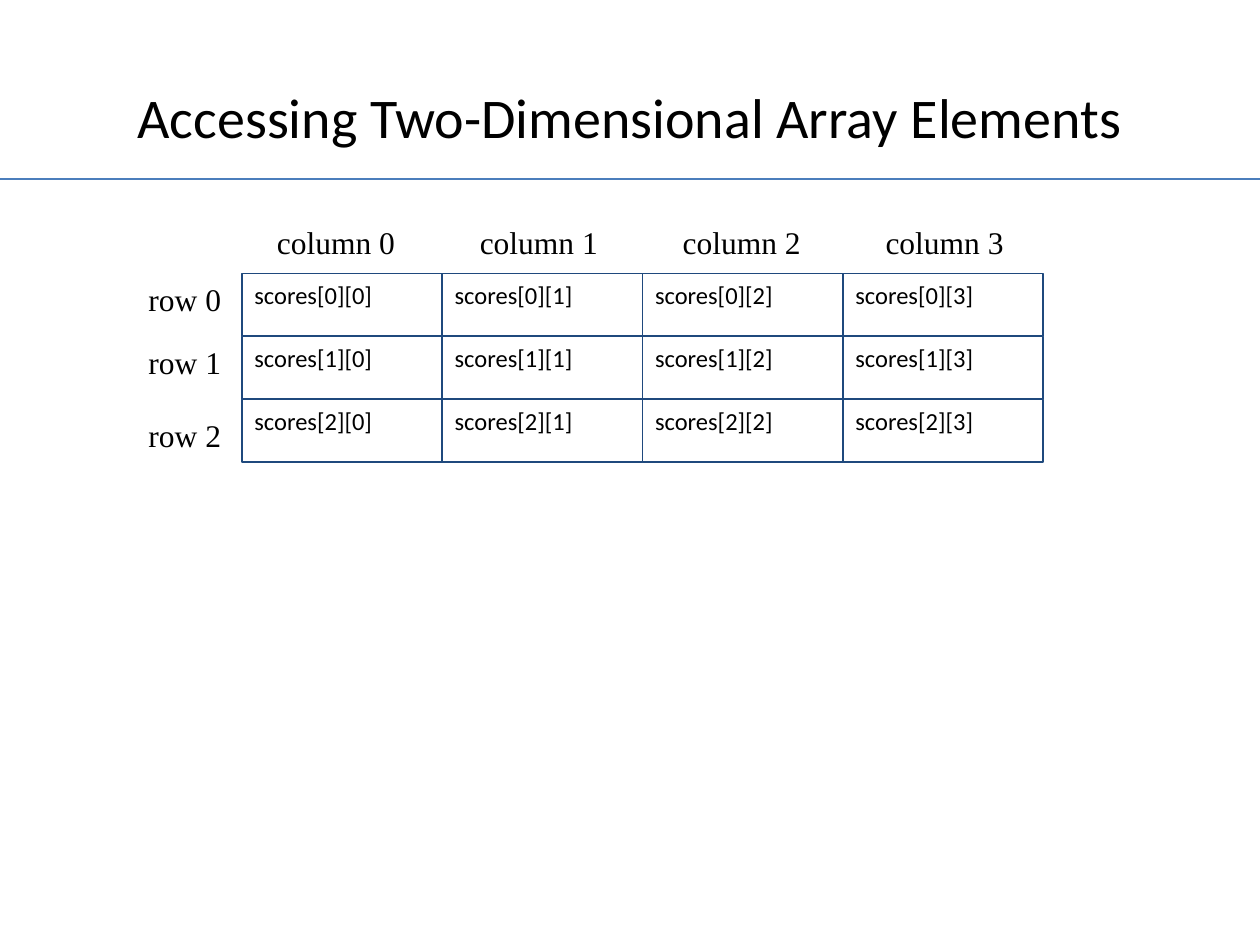
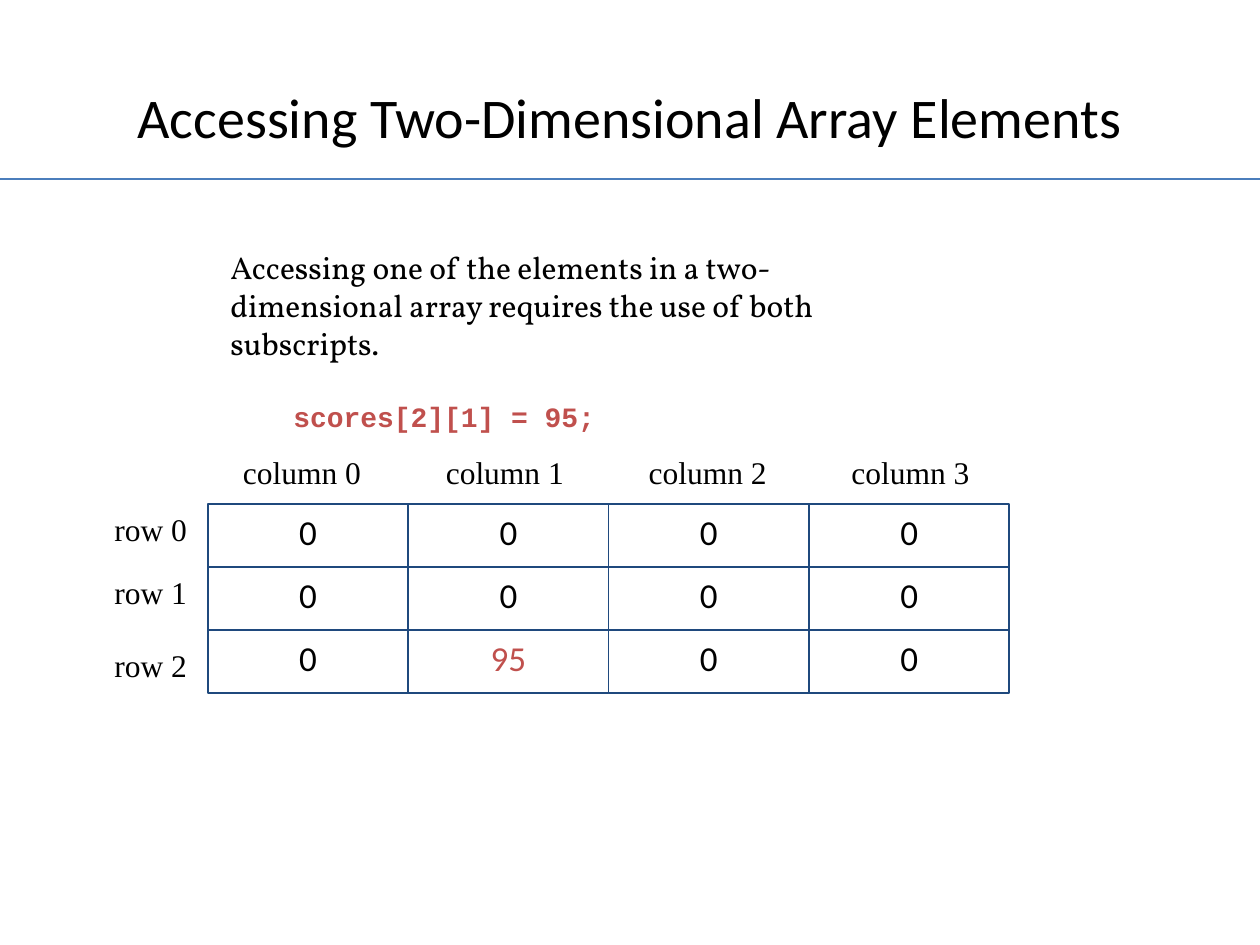
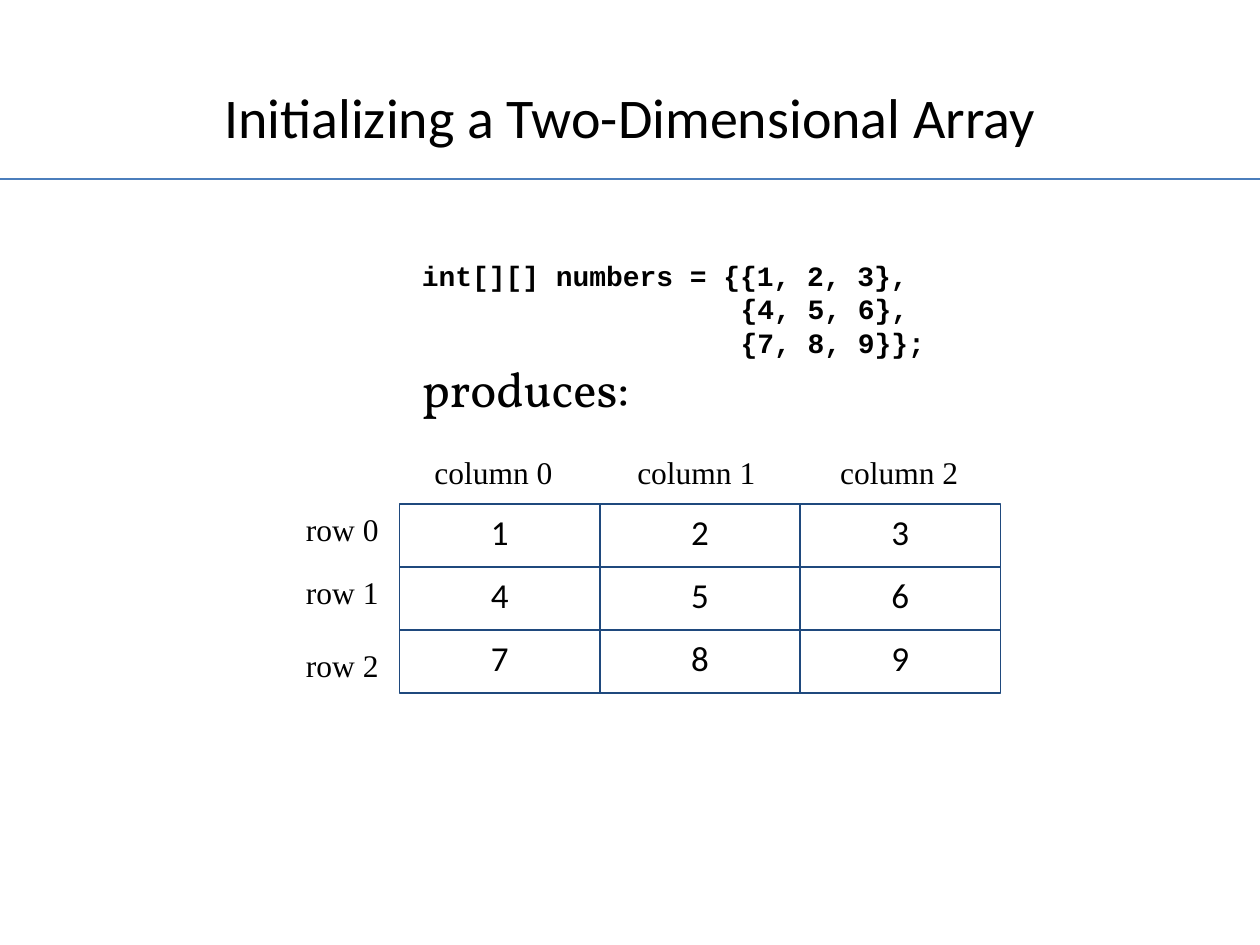
"""Build three slides about two-dimensional arrays."""
from pptx import Presentation
from pptx.dml.color import RGBColor
from pptx.enum.shapes import MSO_CONNECTOR, MSO_SHAPE
from pptx.enum.text import MSO_ANCHOR, MSO_AUTO_SIZE, PP_ALIGN
from pptx.oxml.ns import qn
from pptx.util import Inches, Pt
from lxml import etree

BLACK = RGBColor(0x00, 0x00, 0x00)
NAVY = RGBColor(0x1F, 0x49, 0x7D)
BLUE = RGBColor(0x4B, 0x7E, 0xBC)
RED = RGBColor(0xC0, 0x50, 0x4D)

SANS, SERIF = "Calibri", "Times New Roman"
PROSE, CODE = "Vollkorn", "Courier New"

LEFT, CENTER = PP_ALIGN.LEFT, PP_ALIGN.CENTER
TOP, MIDDLE = MSO_ANCHOR.TOP, MSO_ANCHOR.MIDDLE
FIT_SHAPE = MSO_AUTO_SIZE.SHAPE_TO_FIT_TEXT
RECTANGLE = MSO_SHAPE.RECTANGLE
STRAIGHT = MSO_CONNECTOR.STRAIGHT

TITLE_ONLY = 5
CELL_W, CELL_H = 1.59, 0.5
COLUMN_STEP = 1.61
ROW_LABEL_OFFSETS = (0, 0.5, 1.08)


def style_paragraph(p, font, size, color=BLACK, bold=False, align=LEFT):
    """Format a paragraph and all its runs."""
    p.alignment = align
    for r in p.runs:
        r.font.name = font
        r.font.size = Pt(size)
        r.font.bold = bold
        r.font.color.rgb = color


def indent(p, inches):
    """Set the left margin of a paragraph."""
    p._p.get_or_add_pPr().set("marL", str(Inches(inches)))


def style_layout(layout, slide):
    """Place the title and the rule that all slides share."""
    title = layout.placeholders[0]
    title.left, title.top = Inches(0.5), Inches(0.3)
    title.width, title.height = Inches(9), Inches(1.25)
    title.text_frame.vertical_anchor = MIDDLE
    rule = slide.shapes.add_connector(
        STRAIGHT, Inches(0), Inches(1.42), Inches(10), Inches(1.42))
    rule.line.color.rgb = BLUE
    rule.line.width = Pt(0.75)
    etree.SubElement(rule.element.spPr, qn("a:effectLst"))
    layout.shapes.element.append(rule.element)


def add_slide(prs, title):
    """Add a slide with a formatted title."""
    slide = prs.slides.add_slide(prs.slide_layouts[TITLE_ONLY])
    slide.shapes.title.text_frame.text = title
    style_paragraph(slide.shapes.title.text_frame.paragraphs[0], SANS, 32, align=CENTER)
    return slide


def add_text(slide, text, left, top, width, height, wrap=True):
    """Add a text box and return its paragraphs."""
    box = slide.shapes.add_textbox(
        Inches(left), Inches(top), Inches(width), Inches(height))
    tf = box.text_frame
    tf.text = text
    tf.word_wrap = wrap
    tf.auto_size = FIT_SHAPE
    return tf.paragraphs


def add_label(slide, text, left, top, width):
    """Add a row or column label."""
    p, = add_text(slide, text, left, top, width, 0.4, wrap=False)
    style_paragraph(p, SERIF, 18)


def add_cell(slide, text, left, top, size, align, color):
    """Add one outlined array element."""
    sp = slide.shapes.add_shape(
        RECTANGLE, Inches(left), Inches(top), Inches(CELL_W), Inches(CELL_H))
    sp.shadow.inherit = False
    sp.fill.background()
    sp.line.color.rgb = NAVY
    sp.line.width = Pt(1)
    tf = sp.text_frame
    tf.text = text
    tf.vertical_anchor = TOP
    p = tf.paragraphs[0]
    p.space_before = Pt(0.2 * size)
    style_paragraph(p, SANS, size, color, align=align)


def add_array(slide, rows, left, top, size=20, align=CENTER, marked=None):
    """Add a labelled grid of array elements."""
    for j in range(len(rows[0])):
        add_label(slide, f"column {j}", left + 0.18 + j * COLUMN_STEP, top - 0.45, 1.14)
    for i, row in enumerate(rows):
        add_label(slide, f"row {i}", left - 0.84, top + ROW_LABEL_OFFSETS[i], 0.78)
        for j, value in enumerate(row):
            color = RED if (i, j) == marked else BLACK
            add_cell(slide, str(value), left + j * CELL_W, top + i * CELL_H,
                     size, align, color)


def add_subscripts_slide(prs):
    """Show the subscripts of each element."""
    slide = add_slide(prs, "Accessing Two-Dimensional Array Elements")
    names = [[f"scores[{i}][{j}]" for j in range(4)] for i in range(3)]
    add_array(slide, names, 1.92, 2.17, size=14, align=LEFT)
    return slide


def add_assignment_slide(prs):
    """Show the assignment of one element."""
    slide = add_slide(prs, "Accessing Two-Dimensional Array Elements")
    prose, code = add_text(
        slide,
        "Accessing one of the elements in a two-dimensional array requires "
        "the use of both subscripts.\nscores[2][1] = 95;",
        1.73, 1.92, 5.58, 1.57)
    style_paragraph(prose, PROSE, 18)
    style_paragraph(code, CODE, 16, RED, bold=True)
    code.space_before = Pt(21.5)
    indent(code, 0.5)
    scores = [[0, 0, 0, 0], [0, 0, 0, 0], [0, 95, 0, 0]]
    add_array(slide, scores, 1.65, 4, marked=(2, 1))


def add_initializing_slide(prs):
    """Show an initializer and the array it produces."""
    slide = add_slide(prs, "Initializing a Two-Dimensional Array")
    *code, prose = add_text(
        slide,
        "int[][] numbers = {{1, 2, 3},\n{4, 5, 6},\n{7, 8, 9}};\nproduces:",
        3.25, 2, 4.21, 1.37)
    for p in code:
        style_paragraph(p, CODE, 16, bold=True)
    for p in code[1:]:
        indent(p, 2.53)
    style_paragraph(prose, PROSE, 28)
    add_array(slide, [[1, 2, 3], [4, 5, 6], [7, 8, 9]], 3.17, 4)


def main():
    """Build and save the presentation."""
    prs = Presentation()
    prs.slide_width, prs.slide_height = Inches(10), Inches(7.5)
    first = add_subscripts_slide(prs)
    style_layout(first.slide_layout, first)
    add_assignment_slide(prs)
    add_initializing_slide(prs)
    prs.save("out.pptx")


main()
